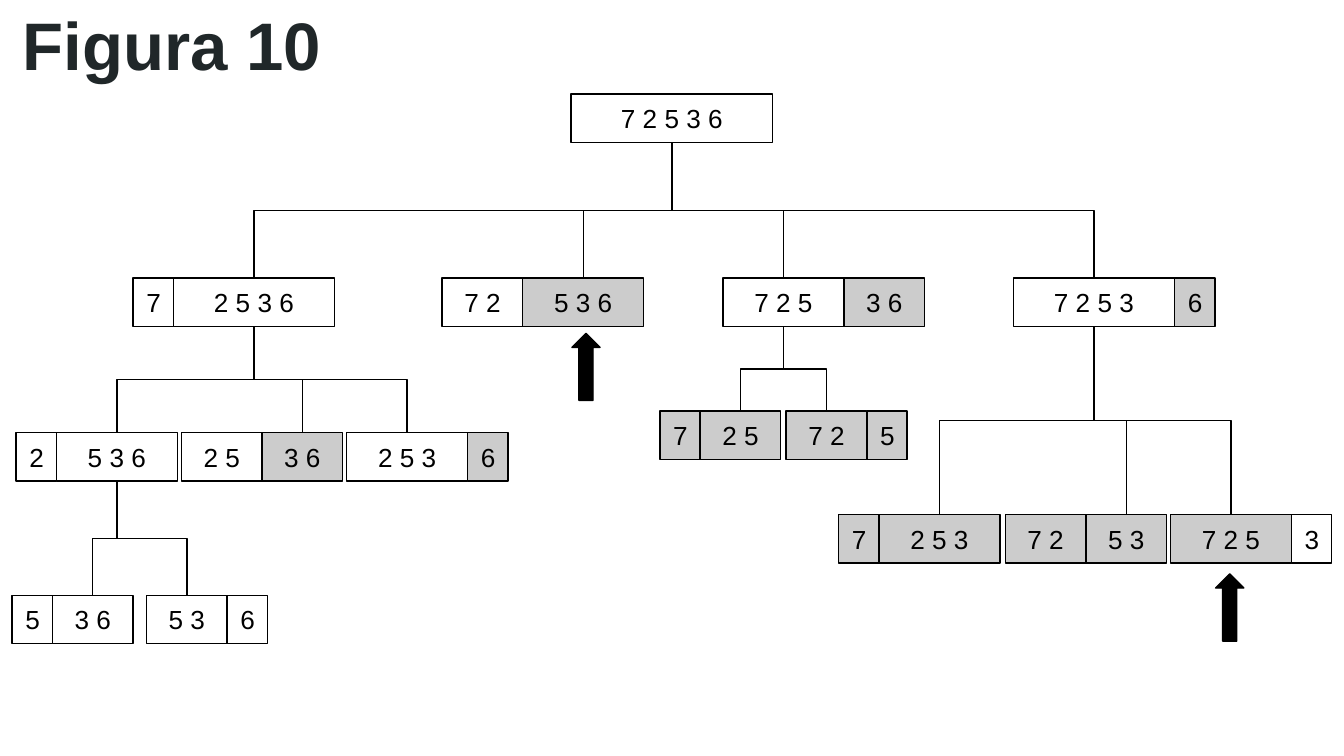
from dataclasses import dataclass

from pptx import Presentation
from pptx.dml.color import RGBColor
from pptx.enum.shapes import MSO_CONNECTOR, MSO_SHAPE
from pptx.enum.text import MSO_ANCHOR, MSO_AUTO_SIZE, PP_ALIGN
from pptx.oxml.ns import qn
from pptx.util import Inches, Pt
from lxml import etree

RECTANGLE = MSO_SHAPE.RECTANGLE
ARROW = MSO_SHAPE.RIGHT_ARROW
ELBOW = MSO_CONNECTOR.ELBOW
LEFT, CENTER = PP_ALIGN.LEFT, PP_ALIGN.CENTER
MIDDLE = MSO_ANCHOR.MIDDLE
NO_AUTO_SIZE = MSO_AUTO_SIZE.NONE

TITLE_ONLY_LAYOUT = 5
SLIDE_WIDTH = 10
SLIDE_HEIGHT = SLIDE_WIDTH * 9 / 16
DIGIT_WIDTH = 0.3
CELL_HEIGHT = 0.36


@dataclass(frozen=True)
class Theme:
    font: str = "Arial"
    title_size: int = 36
    cell_size: int = 14
    line_width: float = 0.75
    title: RGBColor = RGBColor(0x20, 0x27, 0x29)
    ink: RGBColor = RGBColor(0, 0, 0)
    plain: RGBColor = RGBColor(0xFF, 0xFF, 0xFF)
    shaded: RGBColor = RGBColor(0xCC, 0xCC, 0xCC)


@dataclass(frozen=True)
class Node:
    """A row of cells; each digit of a cell is one unit wide, and * marks shading."""
    left: float
    top: float
    cells: tuple
    children: tuple = ()

    def placed_cells(self):
        """Return (left, width, digits, is_shaded) for each cell."""
        placed, left = [], self.left
        for cell in self.cells:
            digits = cell.strip("*")
            width = len(digits) * DIGIT_WIDTH
            placed.append((left, width, digits, cell.endswith("*")))
            left += width
        return placed

    @property
    def anchor(self):
        """Middle of the widest cell, the last one if they tie."""
        left, width, *_ = max(self.placed_cells(), key=lambda cell: (len(cell[2]), cell[0]))
        return left + width / 2

    @property
    def bottom(self):
        return self.top + CELL_HEIGHT


ROW_2, ROW_3 = 2.07, 3.22
TREE = Node(4.25, 0.7, ("72536",), (
    Node(0.99, ROW_2, ("7", "2536"), (
        Node(0.12, ROW_3, ("2", "536"), (
            Node(0.09, 4.43, ("5", "36")),
            Node(1.09, 4.43, ("53", "6")),
        )),
        Node(1.35, ROW_3, ("25", "36*")),
        Node(2.58, ROW_3, ("253", "6*")),
    )),
    Node(3.29, ROW_2, ("72", "536*")),
    Node(5.38, ROW_2, ("725", "36*"), (
        Node(4.91, 3.06, ("7*", "25*")),
        Node(5.85, 3.06, ("72*", "5*")),
    )),
    Node(7.54, ROW_2, ("7253", "6*"), (
        Node(6.24, 3.83, ("7*", "253*")),
        Node(7.48, 3.83, ("72*", "53*")),
        Node(8.71, 3.83, ("725*", "3")),
    )),
))
ARROW_CENTERS = [(4.36, 2.73), (9.15, 4.52)]


def write_text(shape, text, *, font, size, color, bold=False, align=LEFT):
    frame = shape.text_frame
    frame.auto_size = NO_AUTO_SIZE
    frame.word_wrap = True
    frame.vertical_anchor = MIDDLE
    frame.margin_left = frame.margin_right = Inches(0.1)
    frame.margin_top = frame.margin_bottom = Inches(0.1)
    paragraph = frame.paragraphs[0]
    paragraph.alignment = align
    run = paragraph.add_run()
    run.text = text
    run.font.name = font
    run.font.size = Pt(size)
    run.font.bold = bold
    run.font.color.rgb = color


class TreeSlide:
    def __init__(self, slide, theme):
        self.slide = slide
        self.theme = theme

    def title(self, text):
        shape = self.slide.shapes.title
        shape.left, shape.top = Inches(0.07), Inches(0.01)
        shape.width, shape.height = Inches(9.32), Inches(0.63)
        write_text(shape, text, font=self.theme.font, size=self.theme.title_size,
                   color=self.theme.title, bold=True)

    def block(self, shapes, kind, left, top, width, height, fill):
        shape = shapes.add_shape(kind, Inches(left), Inches(top), Inches(width), Inches(height))
        shape.shadow.inherit = False
        shape.fill.solid()
        shape.fill.fore_color.rgb = fill
        self.outline(shape.line)
        return shape

    def outline(self, line):
        line.color.rgb = self.theme.ink
        line.width = Pt(self.theme.line_width)

    def node(self, node):
        shapes = self.slide.shapes
        if len(node.cells) > 1:
            shapes = shapes.add_group_shape().shapes
        for left, width, digits, is_shaded in node.placed_cells():
            fill = self.theme.shaded if is_shaded else self.theme.plain
            cell = self.block(shapes, RECTANGLE, left, node.top, width, CELL_HEIGHT, fill)
            write_text(cell, " ".join(digits), font=self.theme.font,
                       size=self.theme.cell_size, color=self.theme.ink, align=CENTER)

    def branch(self, parent, child):
        """Elbow that leaves downwards: a flat elbow turned by a quarter about its centre."""
        shift = child.anchor - parent.anchor
        center_x = (parent.anchor + child.anchor) / 2
        center_y = (parent.bottom + child.top) / 2
        half_drop = (child.top - parent.bottom) / 2
        half_span = abs(shift) / 2
        side = 1 if shift > 0 else -1
        connector = self.slide.shapes.add_connector(
            ELBOW,
            Inches(center_x + side * half_drop), Inches(center_y - half_span),
            Inches(center_x - side * half_drop), Inches(center_y + half_span))
        properties = connector._element.spPr
        quarter_turns = 3 if shift > 0 else 1
        properties.find(qn("a:xfrm")).set("rot", str(quarter_turns * 90 * 60000))
        self.outline(connector.line)
        etree.SubElement(properties, qn("a:effectLst"))

    def nodes(self, node):
        self.node(node)
        for child in node.children:
            self.nodes(child)

    def branches(self, node):
        for child in node.children:
            self.branch(node, child)
            self.branches(child)

    def up_arrow(self, center_x, center_y, length=0.5, breadth=0.21):
        arrow = self.block(self.slide.shapes, ARROW, center_x - length / 2,
                           center_y - breadth / 2, length, breadth, self.theme.ink)
        arrow.rotation = 270


def main():
    presentation = Presentation()
    presentation.slide_width = Inches(SLIDE_WIDTH)
    presentation.slide_height = Inches(SLIDE_HEIGHT)
    slide = presentation.slides.add_slide(presentation.slide_layouts[TITLE_ONLY_LAYOUT])
    page = TreeSlide(slide, Theme())
    page.title("Figura 10")
    page.nodes(TREE)
    page.branches(TREE)
    for center in ARROW_CENTERS:
        page.up_arrow(*center)
    presentation.save("out.pptx")


if __name__ == "__main__":
    main()
